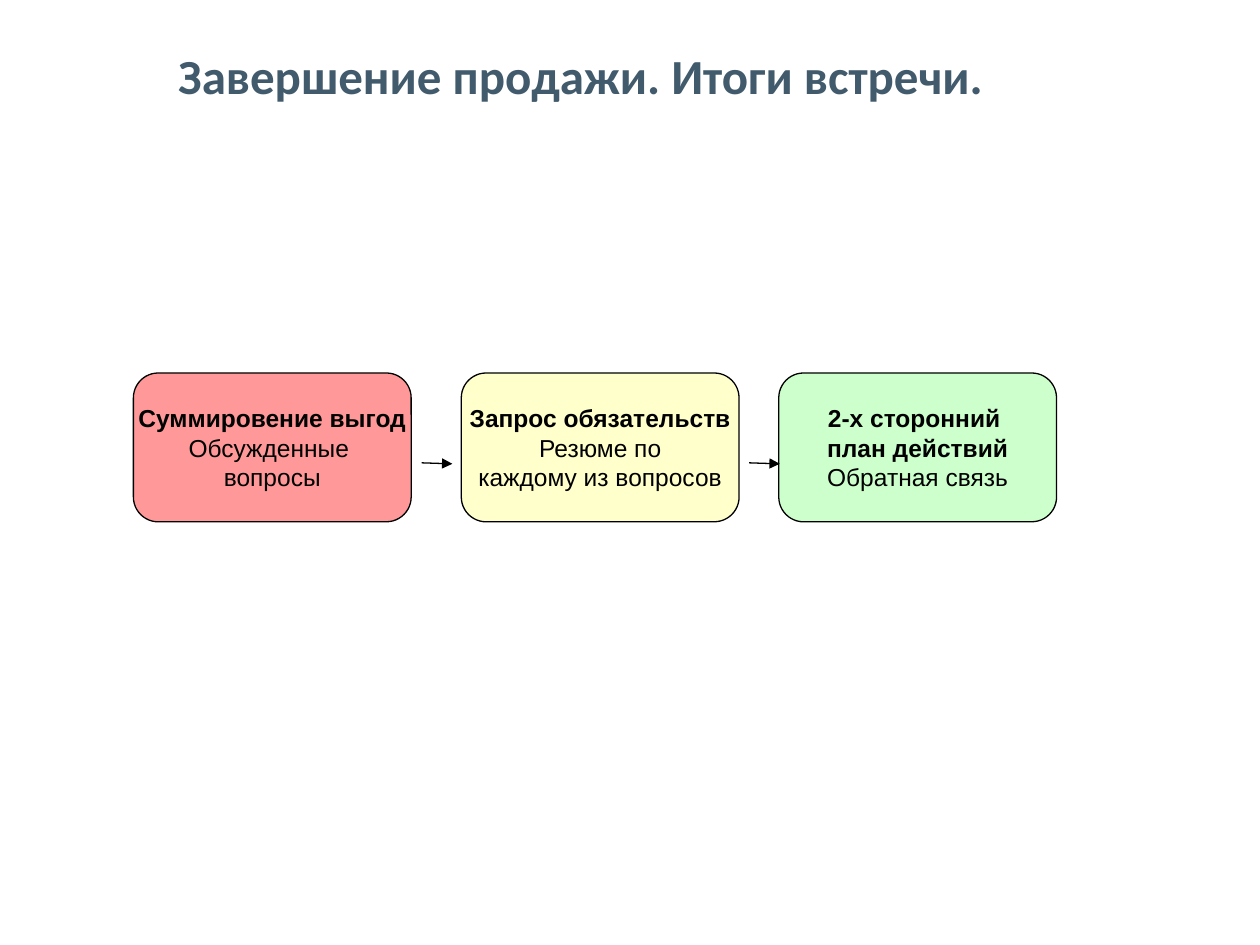
import pptx
import pptx.dml.color
import pptx.enum.shapes
import pptx.enum.text
import pptx.oxml
import pptx.oxml.ns
import pptx.util
from pptx.util import Cm


def color(hex_value):
    return pptx.dml.color.RGBColor.from_string(hex_value)


def add_paragraphs(text_frame, lines, size, name, font_color):
    """Write centred lines, given as (text, bold) pairs, in the middle of the frame."""
    text_frame.vertical_anchor = pptx.enum.text.MSO_ANCHOR.MIDDLE
    for index, (text, bold) in enumerate(lines):
        paragraph = text_frame.add_paragraph() if index else text_frame.paragraphs[0]
        paragraph.alignment = pptx.enum.text.PP_ALIGN.CENTER
        run = paragraph.add_run()
        run.text = text
        font_format = {"size": pptx.util.Pt(size), "name": name, "bold": bold}
        for attribute, value in font_format.items():
            setattr(run.font, attribute, value)
        run.font.color.rgb = color(font_color)


presentation = pptx.Presentation()
presentation.slide_width = Cm(25.4)
presentation.slide_height = Cm(19.05)
slide = presentation.slides.add_slide(presentation.slide_layouts[6])

title = slide.shapes.add_textbox(Cm(2.29), Cm(0.71), Cm(18.82), Cm(1.6))
title.text_frame.word_wrap = True
add_paragraphs(title.text_frame, [("Завершение продажи. Итоги встречи.", True)],
               28, "Calibri", "415A6C")

steps = [
    (2.69, "FF9999", [("Суммировение выгод", True), ("Обсужденные ", False),
                      ("вопросы", False)]),
    (9.3, "FFFFCC", [("Запрос обязательств", True), ("Резюме по", False),
                     ("каждому из вопросов", False)]),
    (15.7, "CCFFCC", [("2-х сторонний ", True), ("план действий", True),
                      ("Обратная связь", False)]),
]
frame_format = {"margin_left": 0, "margin_top": 0, "margin_right": 0,
                "margin_bottom": 0, "word_wrap": False}
for left, fill, lines in steps:
    shape = slide.shapes.add_shape(pptx.enum.shapes.MSO_SHAPE.ROUNDED_RECTANGLE,
                                   Cm(left), Cm(7.52), Cm(5.6), Cm(3))
    shape.shadow.inherit = False
    shape.fill.solid()
    shape.fill.fore_color.rgb = color(fill)
    shape.line.color.rgb = color("000000")
    shape.line.width = pptx.util.Pt(0.75)
    for attribute, value in frame_format.items():
        setattr(shape.text_frame, attribute, value)
    add_paragraphs(shape.text_frame, lines, 14, "Arial", "000000")

for start in (8.5, 15.1):
    arrow = slide.shapes.add_connector(pptx.enum.shapes.MSO_CONNECTOR.STRAIGHT,
                                       Cm(start), Cm(9.33), Cm(start + 0.62), Cm(9.35))
    arrow.line.color.rgb = color("000000")
    arrow.line.width = pptx.util.Pt(0.75)
    line_properties = arrow.line._get_or_add_ln()
    arrowhead = pptx.oxml.parse_xml(
        f'<a:tailEnd {pptx.oxml.ns.nsdecls("a")} type="triangle"/>')
    line_properties.append(arrowhead)
    no_effects = pptx.oxml.parse_xml(f'<a:effectLst {pptx.oxml.ns.nsdecls("a")}/>')
    arrow._element.spPr.append(no_effects)

presentation.save("out.pptx")
